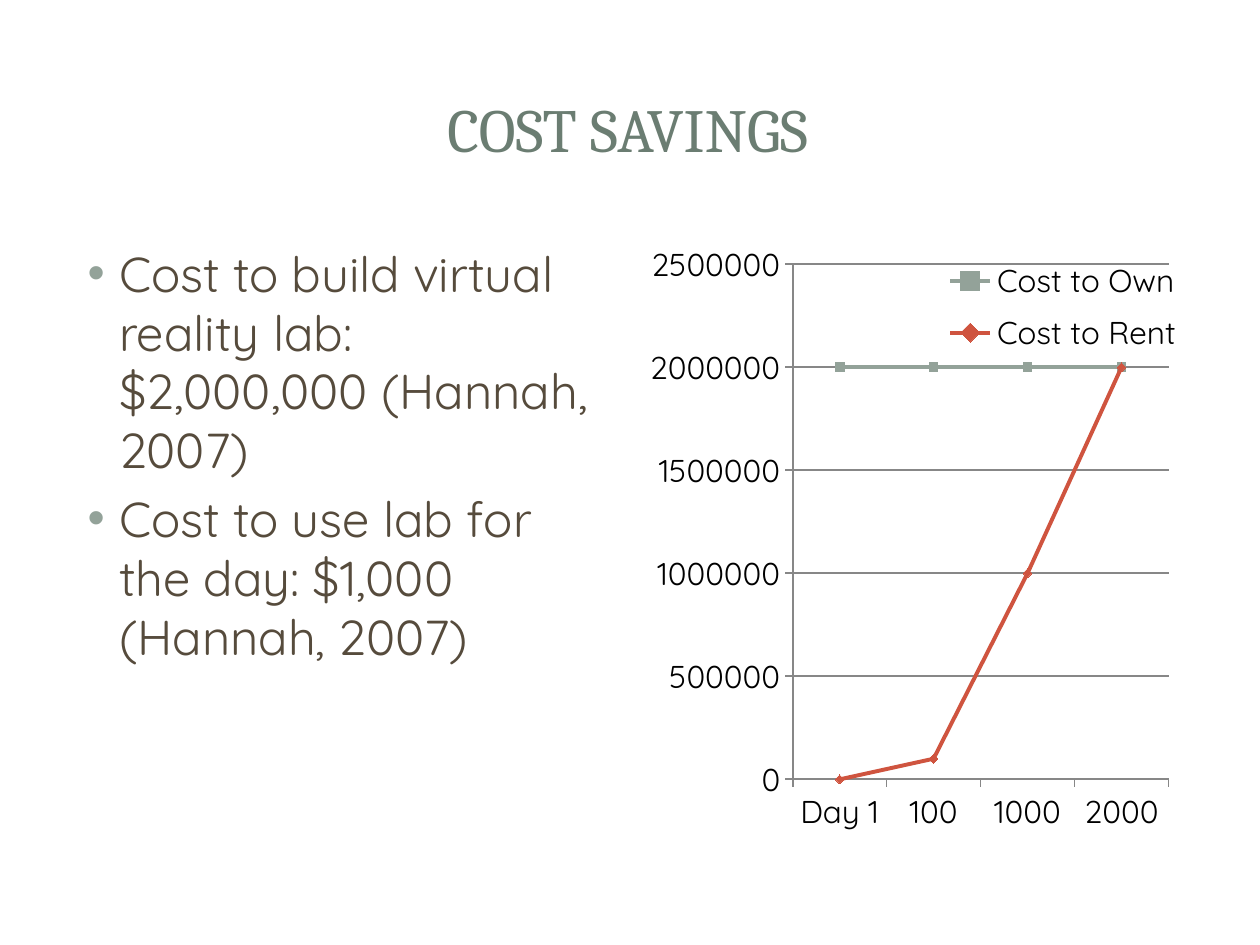
from lxml import etree
from pptx import Presentation
from pptx import util as u
from pptx.chart.data import CategoryChartData
from pptx.dml.color import RGBColor
from pptx.enum import chart as charts, shapes, text
from pptx.oxml.ns import qn

WIDTH, HEIGHT = u.Inches(10), u.Inches(7.5)
MARGIN, COLUMN, GUTTER = 0.0465, 0.442, 0.0195  # shares of the slide width
CONTENT_TOP, CONTENT_HEIGHT = 0.2507, 0.643  # shares of the slide height
COLORS = {"title": "6B7D72", "body": "564B3C", "own": "93A299",
          "rent": "CF543F", "axis": "878787", "label": "000000",
          "panel": "FFFFFF"}
HEADING_FONT, BODY_FONT = "Cambria", "Quicksand"

BULLETS = ["Cost to build virtual reality lab: $2,000,000 (Hannah, 2007)",
           "Cost to use lab for the day: $1,000 (Hannah, 2007)"]
DAYS = ["Day 1", "100", "1000", "2000"]
SERIES = [
    ("Cost to Own", [2000000] * 4, "own", charts.XL_MARKER_STYLE.SQUARE),
    ("Cost to Rent", [0, 100000, 1000000, 2000000], "rent",
     charts.XL_MARKER_STYLE.DIAMOND),
]


def rgb(name):
    return RGBColor.from_string(COLORS[name])


def box(left, top, width, height):
    """Turn shares of the slide into lengths."""
    return (int(left * WIDTH), int(top * HEIGHT),
            int(width * WIDTH), int(height * HEIGHT))


def place(shape, area):
    shape.left, shape.top, shape.width, shape.height = area


def add_panel(slide, kind, area, *, layer, corner=None, opacity=None):
    """Add a plain panel at a given layer, counted from the back."""
    panel = slide.shapes.add_shape(kind, *area)
    panel.shadow.inherit = False
    panel.fill.solid()
    panel.fill.fore_color.rgb = rgb("panel")
    panel.line.fill.background()
    if corner is not None:
        panel.adjustments[0] = corner
    if opacity is not None:
        color = panel._element.spPr.find(".//" + qn("a:srgbClr"))
        etree.SubElement(color, qn("a:alpha"), val=str(opacity * 1000))
    tree = slide.shapes._spTree
    tree.remove(panel._element)
    tree.insert(2 + layer, panel._element)


def add_panels(slide):
    rectangle = shapes.MSO_SHAPE.RECTANGLE
    add_panel(slide, shapes.MSO_SHAPE.ROUNDED_RECTANGLE,
              box(0.01, 0.015, 0.98, 0.972), layer=0, corner=0.017)
    add_panel(slide, rectangle, box(0.03, 0.04, 0.94, 0.193),
              layer=1, opacity=83)
    add_panel(slide, rectangle, box(0.041, 0.055, 0.917, 0.163), layer=2)


def set_font(font, name, size, color):
    font.name, font.size = name, u.Pt(size)
    font.color.rgb = rgb(color)


def add_bullet(paragraph, color):
    properties = paragraph._p.get_or_add_pPr()
    properties.set("marL", str(u.Inches(0.38)))
    properties.set("indent", str(u.Inches(-0.25)))
    bullet_color = etree.SubElement(properties, qn("a:buClr"))
    etree.SubElement(bullet_color, qn("a:srgbClr"), val=COLORS[color])
    etree.SubElement(properties, qn("a:buFont"), typeface="Arial")
    etree.SubElement(properties, qn("a:buChar"), char="•")


def write_text(shape, lines, *, font, size, color, anchor,
               align=text.PP_ALIGN.LEFT, bullet=None, gap=0):
    frame = shape.text_frame
    frame.word_wrap = True
    frame.auto_size = text.MSO_AUTO_SIZE.NONE
    frame.vertical_anchor = anchor
    frame.text = "\n".join(lines)
    for index, paragraph in enumerate(frame.paragraphs):
        paragraph.alignment = align
        paragraph.space_before = u.Pt(gap if index else 0)
        if bullet:
            add_bullet(paragraph, bullet)
        for run in paragraph.runs:
            set_font(run.font, font, size, color)


def set_layout(element, position, shares, inner=False):
    """Fix the place of a plot area or legend in shares of the chart."""
    for old in element.findall(qn("c:layout")):
        element.remove(old)
    layout = etree.Element(qn("c:layout"))
    manual = etree.SubElement(layout, qn("c:manualLayout"))
    if inner:
        etree.SubElement(manual, qn("c:layoutTarget"), val="inner")
    for mode in ("xMode", "yMode"):
        etree.SubElement(manual, qn("c:" + mode), val="edge")
    for key, share in zip("xywh", shares):
        etree.SubElement(manual, qn("c:" + key), val=str(share))
    element.insert(position, layout)


def style_line(line, color, width):
    line.color.rgb = rgb(color)
    line.width = u.Pt(width)


def style_series(series, color, marker):
    series.smooth = False
    style_line(series.format.line, color, 2.25)
    series.marker.style = marker
    series.marker.size = 5
    series.marker.format.fill.solid()
    series.marker.format.fill.fore_color.rgb = rgb(color)
    series.marker.format.line.color.rgb = rgb(color)


def add_cost_chart(slide, area):
    data = CategoryChartData(number_format="General")
    data.categories = DAYS
    for name, values, _, _ in SERIES:
        data.add_series(name, values)
    chart = slide.shapes.add_chart(
        charts.XL_CHART_TYPE.LINE_MARKERS, *area, data).chart
    chart.has_title = False
    set_font(chart.font, BODY_FONT, 18, "label")
    chart.plots[0].vary_by_categories = False
    for series, (_, _, color, marker) in zip(chart.plots[0].series, SERIES):
        style_series(series, color, marker)

    for axis in (chart.category_axis, chart.value_axis):
        axis.major_tick_mark = charts.XL_TICK_MARK.OUTSIDE
        axis.minor_tick_mark = charts.XL_TICK_MARK.NONE
        style_line(axis.format.line, "axis", 1)
    values = chart.value_axis
    values.minimum_scale, values.maximum_scale = 0, 2500000
    values.major_unit = 500000
    values.has_major_gridlines = True
    style_line(values.major_gridlines.format.line, "axis", 1)

    chart.has_legend = True
    chart.legend.position = charts.XL_LEGEND_POSITION.RIGHT
    chart.legend.include_in_layout = True
    set_layout(chart.legend._element, 1, (0.55, 0.02, 0.42, 0.19))
    set_layout(chart._chartSpace.chart.plotArea, 0,
               (0.274, 0.045, 0.675, 0.848), inner=True)


def main():
    presentation = Presentation()
    presentation.slide_width, presentation.slide_height = WIDTH, HEIGHT
    slide = presentation.slides.add_slide(presentation.slide_layouts[1])
    add_panels(slide)

    title, body = slide.shapes.title, slide.placeholders[1]
    place(title, box(MARGIN, 0.059, 2 * COLUMN + GUTTER, 0.152))
    write_text(title, ["COST SAVINGS"], font=HEADING_FONT, size=35,
               color="title", anchor=text.MSO_ANCHOR.MIDDLE,
               align=text.PP_ALIGN.CENTER)

    place(body, box(MARGIN, CONTENT_TOP, COLUMN, CONTENT_HEIGHT))
    write_text(body, BULLETS, font=BODY_FONT, size=28, color="body",
               anchor=text.MSO_ANCHOR.TOP, bullet="own", gap=5.6)

    add_cost_chart(slide, box(MARGIN + COLUMN + GUTTER, CONTENT_TOP,
                              COLUMN, CONTENT_HEIGHT))
    presentation.save("out.pptx")


if __name__ == "__main__":
    main()
